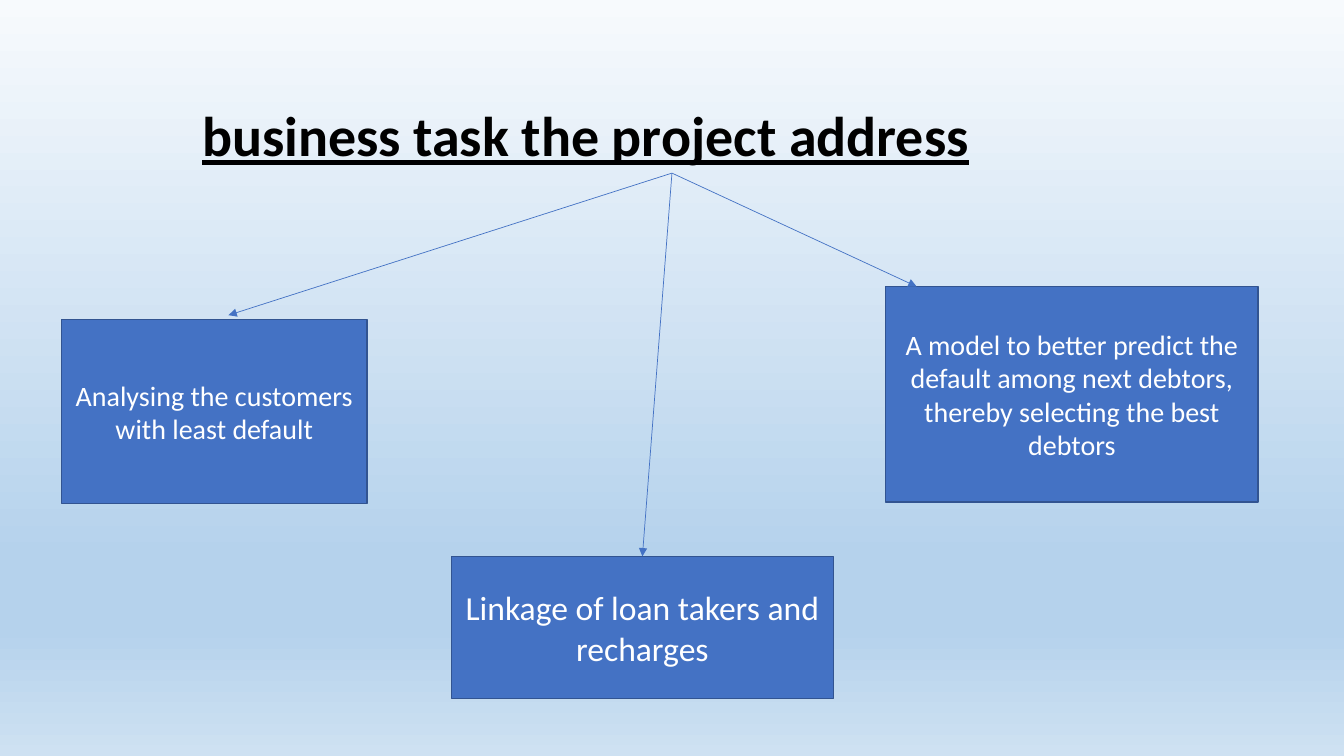
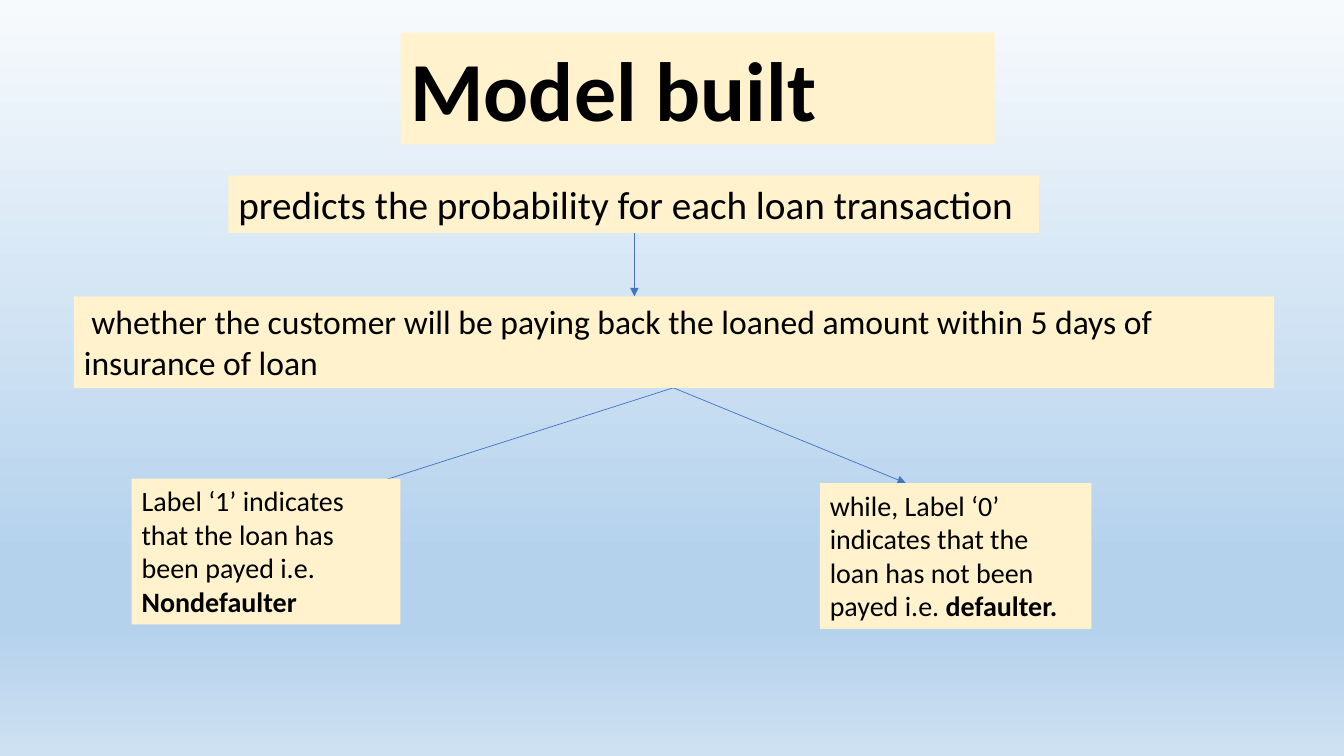
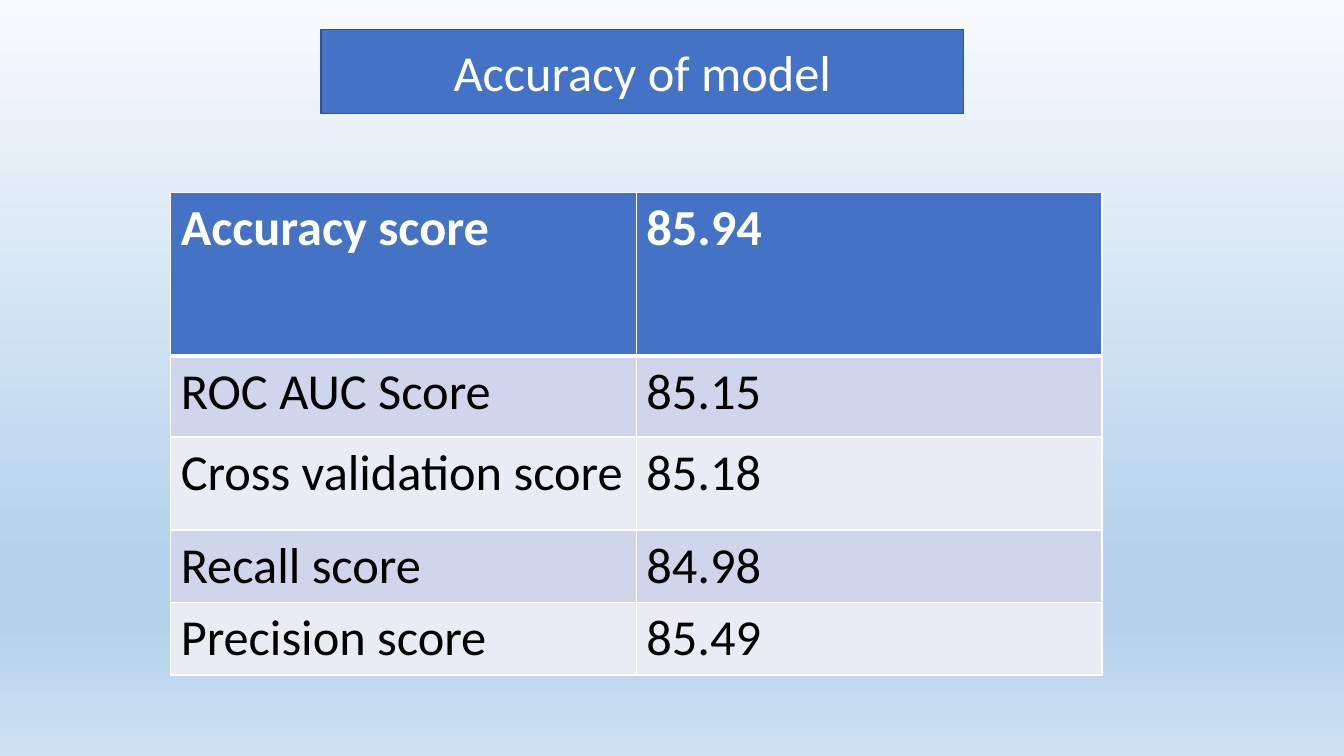
import pptx
import pptx.util
import pptx.dml.color
import pptx.enum.shapes
import pptx.enum.text
import pptx.oxml
import pptx.oxml.ns

FONT = "Calibri"
BLUE, EDGE, CREAM = "4472C4", "325491", "FFF2CC"
BLACK, WHITE = "000000", "FFFFFF"
BANDS = "CFD5EA", "E9EBF5"
SKY = (0, "F7FAFD"), (74, "B5D2EC"), (83, "B5D2EC"), (100, "CEE1F2")
SPACE = pptx.oxml.ns.nsdecls("a")


def hue(code):
    return pptx.dml.color.RGBColor.from_string(code)


def node(text):
    return pptx.oxml.parse_xml(text)


class Deck:
    def __init__(self):
        self.show = pptx.Presentation()
        self.show.slide_width = pptx.util.Inches(13.333)
        self.show.slide_height = pptx.util.Inches(7.5)
        self.paint_sky()

    def paint_sky(self):
        master = self.show.slide_master
        fill = master.background.fill
        fill.gradient()
        fill.gradient_angle = 270
        stops = master.element.xpath("./p:cSld/p:bg//a:gsLst")[0]
        for stop in list(stops):
            stops.remove(stop)
        for share, code in SKY:
            stops.append(node(f'<a:gs {SPACE} pos="{share * 1000}"><a:srgbClr val="{code}"/></a:gs>'))

    def page(self):
        self.slide = self.show.slides.add_slide(self.show.slide_layouts[6])

    def wide(self, share):
        return int(self.show.slide_width * share / 100)

    def high(self, share):
        return int(self.show.slide_height * share / 100)

    def place(self, left, top, width, height):
        return self.wide(left), self.high(top), self.wide(width), self.high(height)

    def style(self, line, size, ink, bold=None):
        font = line.font
        font.name, font.size, font.bold = FONT, pptx.util.Pt(size), bold
        font.color.rgb = hue(ink)

    def title(self, area, text, size):
        frame = self.slide.shapes.add_textbox(*self.place(*area)).text_frame
        frame.word_wrap = True
        line = frame.paragraphs[0]
        line.text = text
        self.style(line, size, BLACK, True)
        line.font.underline = True

    def block(self, area, fill, edge=None):
        kind = pptx.enum.shapes.MSO_SHAPE.RECTANGLE
        shape = self.slide.shapes.add_shape(kind, *self.place(*area))
        shape.shadow.inherit = False
        shape.fill.solid()
        shape.fill.fore_color.rgb = hue(fill)
        if edge:
            shape.line.color.rgb = hue(edge)
            shape.line.width = pptx.util.Pt(1)
        else:
            shape.line.fill.background()
        shape.text_frame.word_wrap = True
        return shape.text_frame

    def box(self, area, text, size):
        frame = self.block(area, BLUE, EDGE)
        frame.vertical_anchor = pptx.enum.text.MSO_ANCHOR.MIDDLE
        line = frame.paragraphs[0]
        line.text = text
        line.alignment = pptx.enum.text.PP_ALIGN.CENTER
        self.style(line, size, WHITE)

    def note(self, area, text, size, bold=None, strong=""):
        frame = self.block(area, CREAM)
        frame.vertical_anchor = pptx.enum.text.MSO_ANCHOR.TOP
        line = frame.paragraphs[0]
        line.text = text
        line.alignment = pptx.enum.text.PP_ALIGN.LEFT
        self.style(line, size, BLACK, bold)
        if strong:
            run = line.add_run()
            run.text = strong
            run.font.bold = True

    def arrows(self, start, *ends):
        kind = pptx.enum.shapes.MSO_CONNECTOR.STRAIGHT
        for end in ends:
            points = [move(share) for point in (start, end)
                      for move, share in zip((self.wide, self.high), point)]
            arrow = self.slide.shapes.add_connector(kind, *points)
            arrow.line.color.rgb = hue(BLUE)
            arrow.line.width = pptx.util.Pt(0.5)
            arrow.line._get_or_add_ln().append(node(f'<a:tailEnd {SPACE} type="triangle"/>'))
            arrow._element.spPr.append(node(f"<a:effectLst {SPACE}/>"))

    def rule(self, cell, **widths):
        props = cell._tc.get_or_add_tcPr()
        for spot, side in enumerate("LRTB"):
            width = pptx.util.Pt(widths.get(side, 1))
            props.insert(spot, node(
                f'<a:ln{side} {SPACE} w="{width}"><a:solidFill>'
                f'<a:srgbClr val="{WHITE}"/></a:solidFill></a:ln{side}>'))

    def table(self, area, rows, heights, size):
        count = len(rows[0])
        grid = self.slide.shapes.add_table(len(rows), count, *self.place(*area)).table
        grid.horz_banding = False
        for column in grid.columns:
            column.width = self.wide(area[2] / count)
        for r, (texts, height) in enumerate(zip(rows, heights)):
            grid.rows[r].height = self.high(height)
            head = r == 0
            for c, text in enumerate(texts):
                cell = grid.cell(r, c)
                cell.text = text
                self.style(cell.text_frame.paragraphs[0], size, WHITE if head else BLACK, head)
                cell.fill.solid()
                cell.fill.fore_color.rgb = hue(BLUE if head else BANDS[(r - 1) % 2])
                self.rule(cell, T=3 if r == 1 else 1, B=3 if head else 1)


def main():
    deck = Deck()

    deck.page()
    deck.title((14.3, 12.7, 71.3, 10.3), "business task the project address", 40)
    deck.box((4.6, 42.3, 22.7, 24.3), "Analysing the customers with least default", 20)
    deck.box((33.6, 73.6, 28.4, 18.8), "Linkage of loan takers and recharges", 24)
    deck.box((65.9, 37.9, 27.7, 28.5),
             "A model to better predict the default among next debtors, "
             "thereby selecting the best debtors", 20)
    deck.arrows((50, 22.9), (17, 41.7), (47.8, 73.6), (68.2, 37.9))

    deck.page()
    deck.arrows((47.2, 30.8), (47.2, 39.2))
    deck.arrows((50.1, 51.3), (25.8, 65.1), (67.4, 63.9))
    deck.note((29.8, 4.3, 44.2, 14.8), "Model built", 60, True)
    deck.note((17, 23.2, 60.3, 7.6), "predicts the probability for each loan transaction", 28)
    deck.note((5.5, 39.2, 89.3, 12.1),
              " whether the customer will be paying back the loaned amount "
              "within 5 days of insurance of loan", 24)
    deck.note((9.8, 63.3, 20, 19.3),
              "Label ‘1’ indicates that the loan has been payed i.e. ", 20, strong="Nondefaulter")
    deck.note((61, 63.9, 20.2, 19.3),
              "while, Label ‘0’ indicates that the loan has not been payed i.e. ", 20,
              strong="defaulter.")

    deck.page()
    deck.box((23.9, 3.9, 47.8, 11.1), "Accuracy of model", 36)
    scores = [("Accuracy score", "85.94"), ("ROC AUC Score", "85.15"),
              ("Cross validation score", "85.18"), ("Recall score", "84.98"),
              ("Precision score", "85.49")]
    deck.table((12.7, 25.5, 69.3, 63.8), scores, (21.6, 10.7, 12.3, 9.6, 9.6), 36)

    deck.show.save("out.pptx")


if __name__ == "__main__":
    main()
